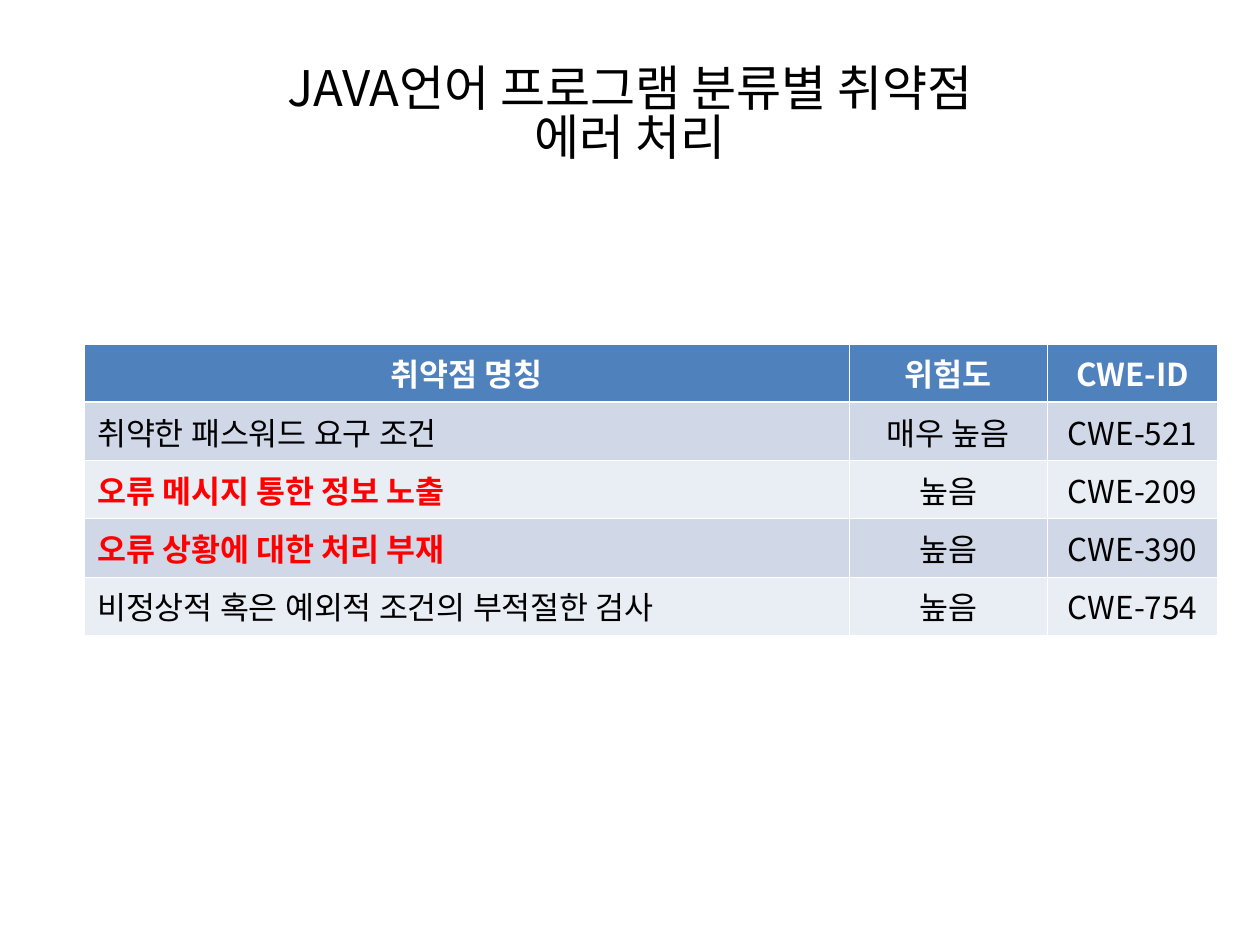
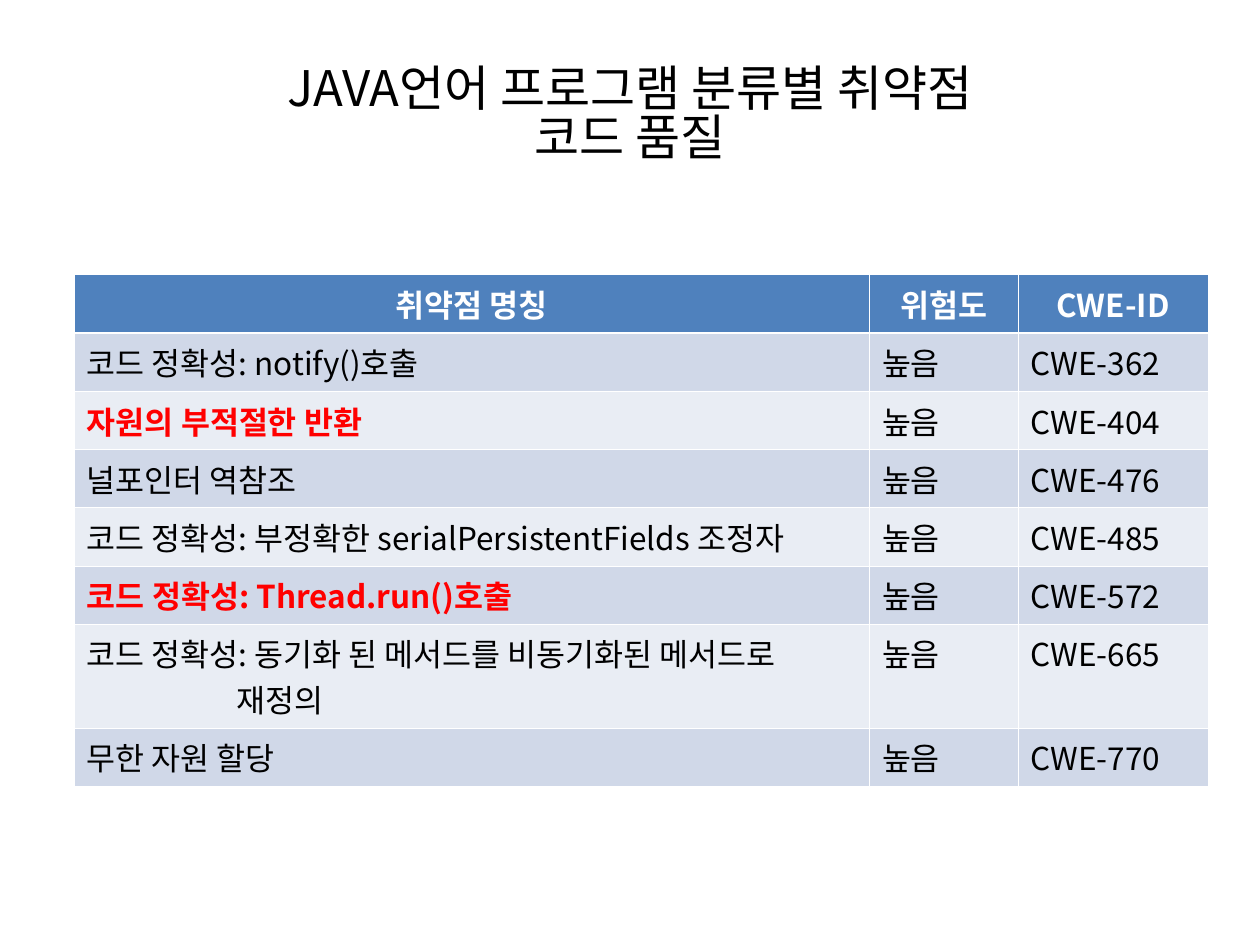
from lxml.etree import SubElement
from pptx import Presentation
from pptx.dml.color import RGBColor
from pptx.enum.text import MSO_ANCHOR as Anchor, PP_ALIGN as Align
from pptx.oxml.ns import qn
from pptx.util import Inches, Pt

COLS, ROWS = 100, 75
HEADINGS = ("취약점 명칭", "위험도", "CWE-ID")
PLAIN_TABLE = "{2D5ABB26-0587-4C30-8999-92F81FD0307C}"


def rgb(value):
    return RGBColor.from_string(value)


class Deck:
    """Hold the shared style and the current slide, measured on a 100 x 75 grid."""

    font = "Noto Sans CJK KR"
    black, white, red = "000000", "FFFFFF", "FF0000"
    header, bands = "4F81BD", ("D0D8E8", "E9EDF4")
    thin, thick = 0.45, 1.47

    def __init__(self):
        self.prs = Presentation()
        self.prs.slide_width, self.prs.slide_height = Inches(10), Inches(7.5)
        self.s = None

    def x(self, cols):
        return int(self.prs.slide_width * cols / COLS)

    def y(self, rows):
        return int(self.prs.slide_height * rows / ROWS)

    def style(self, p, size, color, bold=False, align=Align.LEFT):
        p.alignment = align
        p.font.size, p.font.bold = Pt(size), bold
        p.font.color.rgb = rgb(color)
        p.font.name = self.font
        rpr = p._p.pPr.find(qn("a:defRPr"))
        SubElement(rpr, qn("a:ea"), typeface=self.font)

    def slide(self, topic):
        self.s = self.prs.slides.add_slide(self.prs.slide_layouts[5])
        sp = self.s.shapes.title
        sp.left, sp.top = self.x(5), self.y(3)
        sp.width, sp.height = self.x(90), self.y(12.5)
        tf = sp.text_frame
        tf.text = f"JAVA언어 프로그램 분류별 취약점\v{topic}"
        tf.vertical_anchor = Anchor.MIDDLE
        p = tf.paragraphs[0]
        p.line_spacing = 0.82
        self.style(p, 28, self.black, align=Align.CENTER)

    def borders(self, cell, top, bottom):
        tc_pr = cell._tc.get_or_add_tcPr()
        sides = {"L": self.thin, "R": self.thin, "T": top, "B": bottom}
        for side, width in sides.items():
            ln = SubElement(tc_pr, qn(f"a:ln{side}"), w=str(Pt(width)))
            fill = SubElement(ln, qn("a:solidFill"))
            SubElement(fill, qn("a:srgbClr"), val=self.white)

    def cell(self, cell, text, row, color, bold, align):
        top = self.thick if row == 1 else self.thin
        bottom = self.thick if row == 0 else self.thin
        self.borders(cell, top, bottom)
        cell.fill.solid()
        cell.fill.fore_color.rgb = rgb(self.bands[(row - 1) % 2] if row else self.header)
        cell.text = text
        for i, p in enumerate(cell.text_frame.paragraphs):
            if i:
                p._p.get_or_add_pPr().set("marL", str(self.x(11.9)))
            self.style(p, 18, color, bold, align)

    def table(self, left, top, widths, weaknesses, key_rows, align):
        data = [HEADINGS, *weaknesses]
        heights = [7 if "\n" in name else 4.05 for name, *_ in data]
        frame = self.s.shapes.add_table(
            len(data), len(widths), self.x(left), self.y(top),
            self.x(sum(widths)), self.y(sum(heights)))
        frame._element.find(f".//{qn('a:tableStyleId')}").text = PLAIN_TABLE
        table = frame.table
        for column, width in zip(table.columns, widths):
            column.width = self.x(width)
        for r, (values, height) in enumerate(zip(data, heights)):
            table.rows[r].height = self.y(height)
            for c, text in enumerate(values):
                key = c == 0 and r in key_rows
                color = self.white if r == 0 else self.red if key else self.black
                cell_align = Align.CENTER if r == 0 else align if c else Align.LEFT
                self.cell(table.cell(r, c), text, r, color, r == 0 or key, cell_align)


def main():
    deck = Deck()

    deck.slide("에러 처리")
    deck.table(6.7, 27.3, (60.7, 15.75, 13.5), [
        ("취약한 패스워드 요구 조건", "매우 높음", "CWE-521"),
        ("오류 메시지 통한 정보 노출", "높음", "CWE-209"),
        ("오류 상황에 대한 처리 부재", "높음", "CWE-390"),
        ("비정상적 혹은 예외적 조건의 부적절한 검사", "높음", "CWE-754"),
    ], key_rows={2, 3}, align=Align.CENTER)

    deck.slide("코드 품질")
    deck.table(5.9, 21.8, (63.1, 11.8, 15.1), [
        ("코드 정확성: notify()호출", "높음", "CWE-362"),
        ("자원의 부적절한 반환", "높음", "CWE-404"),
        ("널포인터 역참조", "높음", "CWE-476"),
        ("코드 정확성: 부정확한 serialPersistentFields 조정자", "높음", "CWE-485"),
        ("코드 정확성: Thread.run()호출", "높음", "CWE-572"),
        ("코드 정확성: 동기화 된 메서드를 비동기화된 메서드로\n재정의", "높음", "CWE-665"),
        ("무한 자원 할당", "높음", "CWE-770"),
    ], key_rows={2, 5}, align=Align.LEFT)

    deck.prs.save("out.pptx")


if __name__ == "__main__":
    main()
